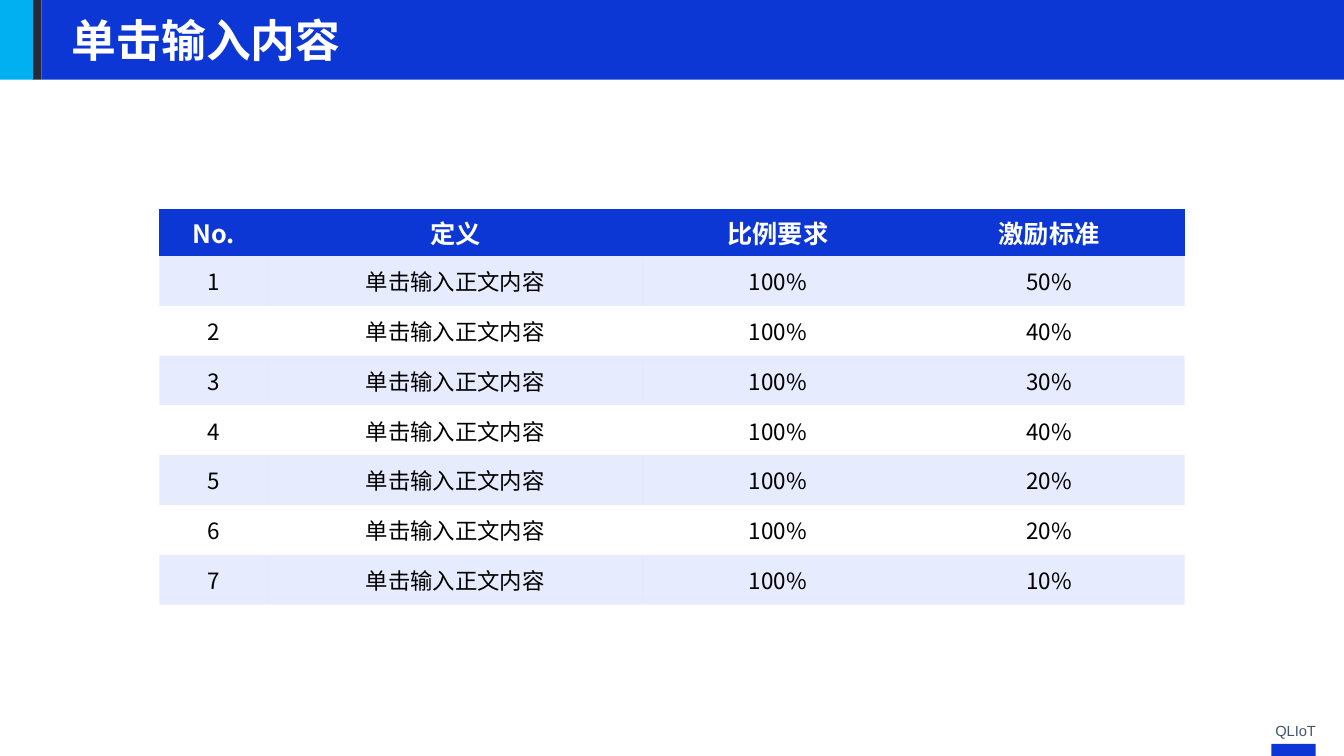
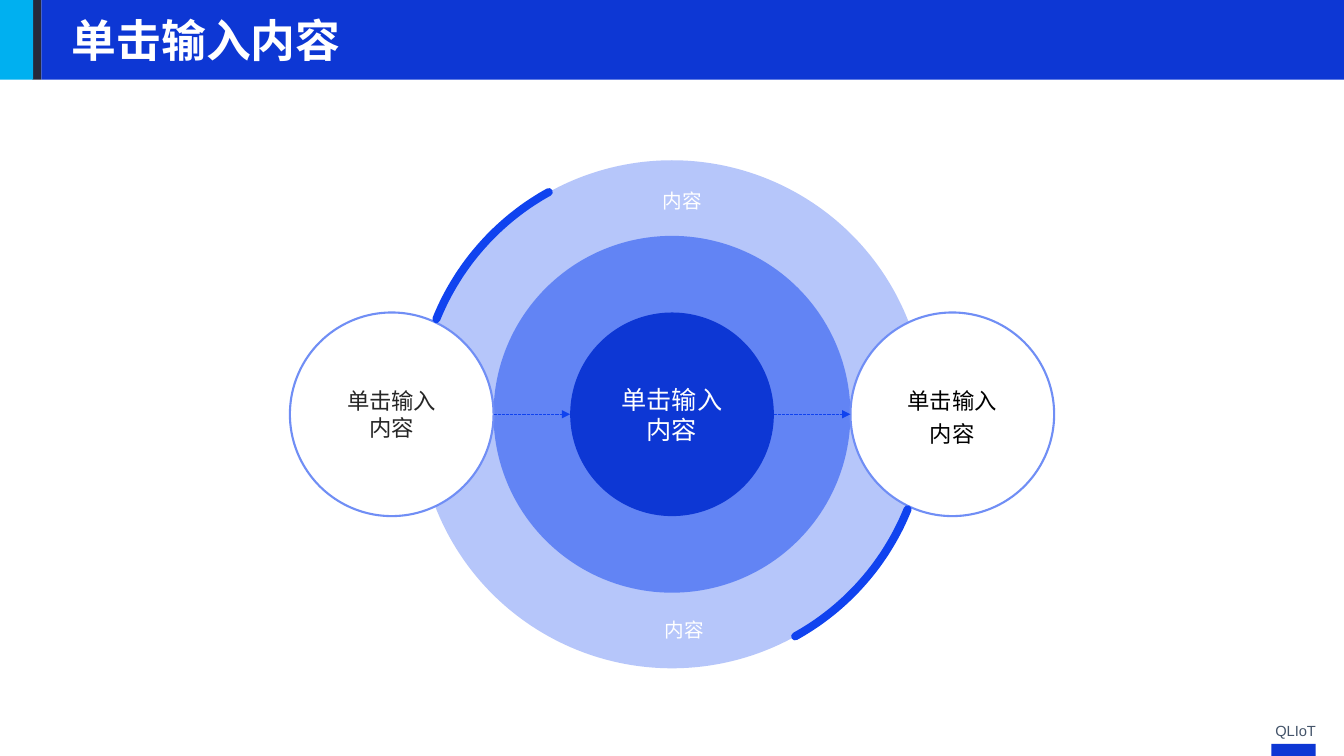
from math import cos, radians, sin
from lxml import etree
from pptx import Presentation
from pptx.dml.color import RGBColor
from pptx.enum.dml import MSO_LINE
from pptx.enum.shapes import MSO_CONNECTOR, MSO_SHAPE
from pptx.enum.text import MSO_ANCHOR, MSO_AUTO_SIZE, PP_ALIGN
from pptx.oxml.ns import qn
from pptx.util import Inches, Pt

RECT, OVAL = MSO_SHAPE.RECTANGLE, MSO_SHAPE.OVAL
LEFT, MID, RIGHT = PP_ALIGN.LEFT, PP_ALIGN.CENTER, PP_ALIGN.RIGHT
DASH, LINE = MSO_LINE.SQUARE_DOT, MSO_CONNECTOR.STRAIGHT
CORE, FIXED = MSO_ANCHOR.MIDDLE, MSO_AUTO_SIZE.NONE
HAN = "Noto Sans CJK SC"
HUE = {
    "blue": "0D37D4", "vivid": "1043EF", "rim": "708EF5",
    "cyan": "00B0F0", "dark": "26293A", "slate": "44546A",
    "white": "FFFFFF", "black": "000000", "ink": "262626",
}
HUE = {name: RGBColor.from_string(code) for name, code in HUE.items()}


def write(frame, lines, size, hue, align=MID, bold=False, face=HAN, gap=1.0, pad=(0.1, 0.05), wrap=True):
    form = {"margin_left": Inches(pad[0]), "margin_right": Inches(pad[0]),
            "margin_top": Inches(pad[1]), "margin_bottom": Inches(pad[1]),
            "vertical_anchor": CORE, "word_wrap": wrap, "auto_size": FIXED}
    for key, value in form.items():
        setattr(frame, key, value)
    frame.text = "\n".join(lines)
    for para in frame.paragraphs:
        para.alignment, para.line_spacing = align, gap
        for run in para.runs:
            for key, value in {"size": Pt(size), "bold": bold, "name": face}.items():
                setattr(run.font, key, value)
            run.font.color.rgb = HUE[hue]
            etree.SubElement(run.font._element, qn("a:ea"), typeface=face)


def draw(slide, kind, place, hue, alpha=100):
    shape = slide.shapes.add_shape(kind, *(Inches(n) for n in place))
    shape.shadow.inherit = False
    shape.line.fill.background()
    shape.fill.solid()
    shape.fill.fore_color.rgb = HUE[hue]
    if alpha < 100:
        tint = shape._element.spPr.find(".//" + qn("a:srgbClr"))
        etree.SubElement(tint, qn("a:alpha"), val=str(alpha * 1000))
    return shape


W, H = 13.33, 7.5
BAND = 0.79
deck = Presentation()
deck.slide_width, deck.slide_height = Inches(W), Inches(H)
base = deck.slide_layouts[5]
head = base.placeholders[0]
for key, value in {"left": 0.61, "top": 0.07, "width": 7.09, "height": 0.64}.items():
    setattr(head, key, Inches(value))

pages = [deck.slides.add_slide(base) for _ in range(2)]
first, second = pages
for page in pages:
    write(page.shapes.title.text_frame, ["单击输入内容"], 32, "white", LEFT, True)

parts = [draw(first, RECT, place, hue) for place, hue in (
    ((0.32, 0, 0.09, BAND), "dark"),
    ((0, 0, 0.33, BAND), "cyan"),
    ((0.41, 0, W - 0.41, BAND), "blue"),
    ((12.61, H - 0.12, 0.44, 0.12), "blue"),
)]
mark = first.shapes.add_textbox(*(Inches(n) for n in (12.26, 7.11, 0.89, 0.28)))
write(mark.text_frame, ["QLIoT"], 10.5, "slate", RIGHT, face="Arial")
for part in parts + [mark]:
    base.shapes._spTree.append(part._element)

rows = [("No.", "定义", "比例要求", "激励标准")]
for num, rate in enumerate((50, 40, 30, 40, 20, 20, 10), 1):
    rows.append((str(num), "单击输入正文内容", "100%", f"{rate}%"))
wide = (1.08, 3.71, 2.69, 2.69)
high = [0.47] + [3.46 / 7] * 7
frame = first.shapes.add_table(
    len(rows), len(wide), Inches((W - sum(wide)) / 2), Inches(2.07),
    Inches(sum(wide)), Inches(sum(high)))
grid = frame.table
grid._tbl.tblPr.find(qn("a:tableStyleId")).text = "{2D5ABB26-0587-4C30-8999-92F81FD0307C}"
for col, size in zip(grid.columns, wide):
    col.width = Inches(size)
for r, (row, size) in enumerate(zip(rows, high)):
    grid.rows[r].height = Inches(size)
    for c, text in enumerate(row):
        cell = grid.cell(r, c)
        top = r == 0
        write(cell.text_frame, [text], 16 + 2 * top, "white" if top else "black", bold=top)
        cell.vertical_anchor = CORE
        cell.margin_left = cell.margin_right = Inches(0.24)
        cell.fill.solid()
        cell.fill.fore_color.rgb = HUE["blue" if top else "vivid" if r % 2 else "white"]
        if r % 2:
            tint = cell._tc.tcPr.find(".//" + qn("a:srgbClr"))
            etree.SubElement(tint, qn("a:alpha"), val="10000")

X, Y = W / 2, 4.11
BIG, RING, BALL = 2.52, 1.77, 1.01
SIDE = RING + BALL
for rad, hue, alpha in ((BIG, "vivid", 30), (RING, "vivid", 50), (BALL, "blue", 100)):
    disc = draw(second, OVAL, (X - rad, Y - rad, 2 * rad, 2 * rad), hue, alpha)
words = ["单击输入", "内容"]
write(disc.text_frame, words, 18, "white", pad=(0, 0.05))

for way, hue, gap in ((-1, "ink", 1.0), (1, "black", 1.2)):
    ball = draw(second, OVAL, (X + way * SIDE - BALL, Y - BALL, 2 * BALL, 2 * BALL), "white")
    ball.line.color.rgb = HUE["rim"]
    ball.line.width = Pt(1.5)
    write(ball.text_frame, words, 16, hue, gap=gap, pad=(0, 0.05))

for mid, top in ((6.77, 1.82), (6.79, 6.08)):
    note = second.shapes.add_textbox(Inches(mid - 0.3), Inches(top), Inches(0.6), Inches(0.34))
    write(note.text_frame, ["内容"], 14, "white", wrap=False)

for start in (202, 22):
    dots = [(Inches(X + BIG * cos(radians(a))), Inches(Y + BIG * sin(radians(a))))
            for a in range(start, start + 40)]
    pen = second.shapes.build_freeform(*dots[0])
    pen.add_line_segments(dots[1:], close=False)
    arc = pen.convert_to_shape()
    arc.shadow.inherit = False
    arc.fill.background()
    arc.line.color.rgb = HUE["vivid"]
    arc.line.width = Pt(5.75)
    arc.line._get_or_add_ln().set("cap", "rnd")

for x in (X - RING, X + BALL):
    link = second.shapes.add_connector(
        LINE, Inches(x), Inches(Y), Inches(x + RING - BALL), Inches(Y))
    link.line.color.rgb = HUE["vivid"]
    link.line.width = Pt(0.75)
    link.line.dash_style = DASH
    etree.SubElement(link.line._get_or_add_ln(), qn("a:tailEnd"), type="triangle")
    etree.SubElement(link._element.spPr, qn("a:effectLst"))

deck.save("out.pptx")
